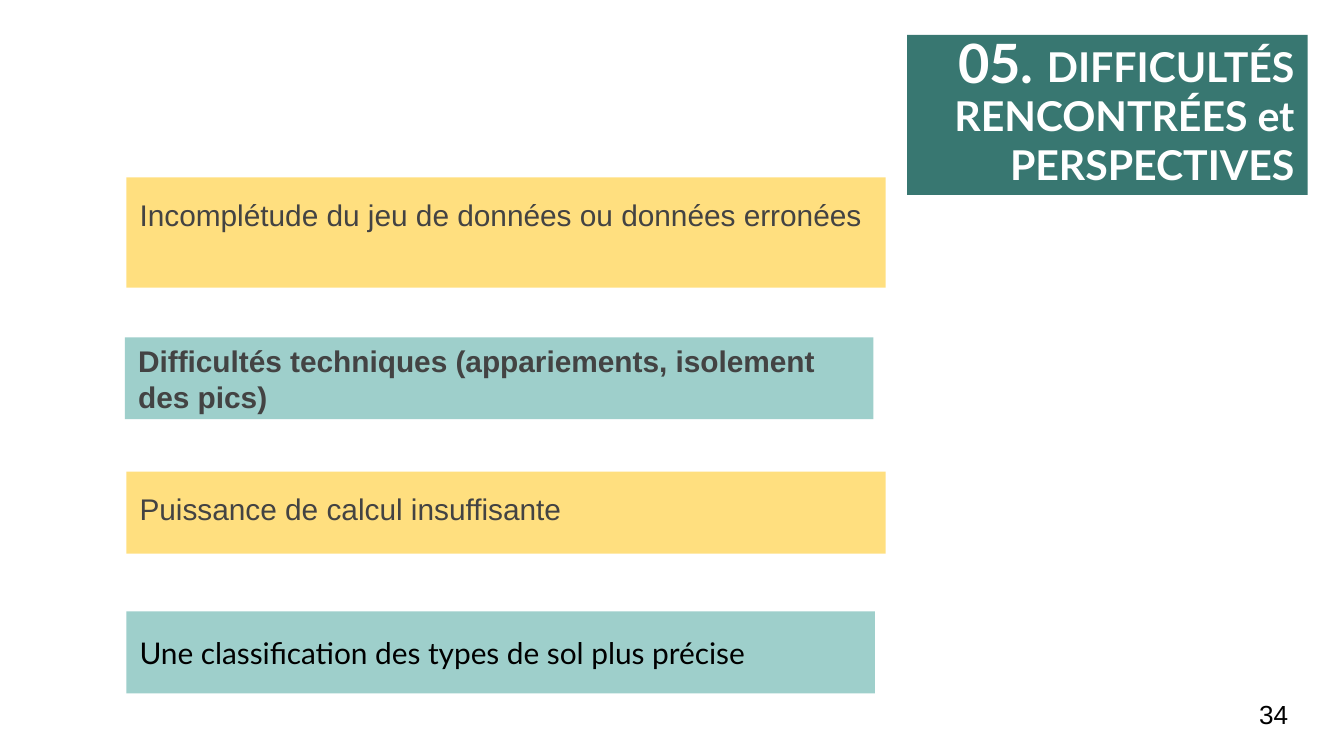
from lxml import etree
from pptx import Presentation
from pptx.dml.color import RGBColor
from pptx.enum.shapes import MSO_SHAPE
from pptx.enum.text import MSO_ANCHOR, PP_ALIGN
from pptx.oxml.ns import qn
from pptx.util import Inches, Pt

AMBER, AQUA, TEAL = "FFC000", "9ECFCB", "387771"
GREY, BLACK, WHITE = "434343", "000000", "FFFFFF"
TOP, MIDDLE = MSO_ANCHOR.TOP, MSO_ANCHOR.MIDDLE


def add_box(left, top, width, height, fill=None):
    """Add a plain rectangle, or a text box when no fill is given."""
    position = [Inches(value) for value in (left, top, width, height)]
    if fill is None:
        return slide.shapes.add_textbox(*position)
    shape = slide.shapes.add_shape(MSO_SHAPE.RECTANGLE, *position)
    shape.shadow.inherit = False
    shape.fill.solid()
    shape.fill.fore_color.rgb = RGBColor.from_string(fill)
    shape.line.fill.background()
    return shape


def write(shape, text, size, font, color, bold=False, anchor=TOP, align=PP_ALIGN.LEFT):
    frame = shape.text_frame
    frame.word_wrap = True
    frame.vertical_anchor = anchor
    frame.margin_left = frame.margin_right = Inches(0.1)
    frame.margin_top = frame.margin_bottom = Inches(0.1)
    paragraph = frame.paragraphs[0]
    paragraph.text = text
    paragraph.alignment = align
    paragraph.font.size = Pt(size)
    paragraph.font.name = font
    paragraph.font.bold = bold
    paragraph.font.color.rgb = RGBColor.from_string(color)
    return paragraph


presentation = Presentation()
presentation.slide_width = Inches(10)
presentation.slide_height = Inches(10 * 9 / 16)
slide = presentation.slides.add_slide(presentation.slide_layouts[6])

# Section title
title_area = (6.75, 0.26, 2.98, 1.19)
add_box(*title_area, TEAL)
title = add_box(*title_area)
write(title, "DIFFICULTÉS RENCONTRÉES et PERSPECTIVES", 22, "Lato", WHITE,
      bold=True, anchor=MIDDLE, align=PP_ALIGN.RIGHT)
section_number = add_box(7.03, 0.12, 1.15, 0.6)
write(section_number, "05.", 29, "Lato", WHITE, bold=True)

# Half-transparent amber bands
for top, height, text in [
    (1.32, 0.82, "Incomplétude du jeu de données ou données erronées"),
    (3.51, 0.61, "Puissance de calcul insuffisante"),
]:
    band = add_box(0.94, top, 5.65, height, AMBER)
    color_element = band.element.spPr.find(qn("a:solidFill"))[0]
    etree.SubElement(color_element, qn("a:alpha"), val="50000")
    write(band, text, 16, "Arial", GREY).line_spacing = 1.15

# Aqua bands
for left, top, text, font, color, bold in [
    (0.93, 2.51, "Difficultés techniques (appariements, isolement des pics)",
     "Arial", GREY, True),
    (0.94, 4.55, "Une classification des types de sol plus précise",
     "Lato", BLACK, False),
]:
    band = add_box(left, top, 5.57, 0.61, AQUA)
    write(band, text, 16, font, color, bold, MIDDLE)

page_number = add_box(9.27, 5.1, 0.6, 0.43)
write(page_number, "34", 14, "Arial", BLACK, anchor=MIDDLE)

presentation.save("out.pptx")
